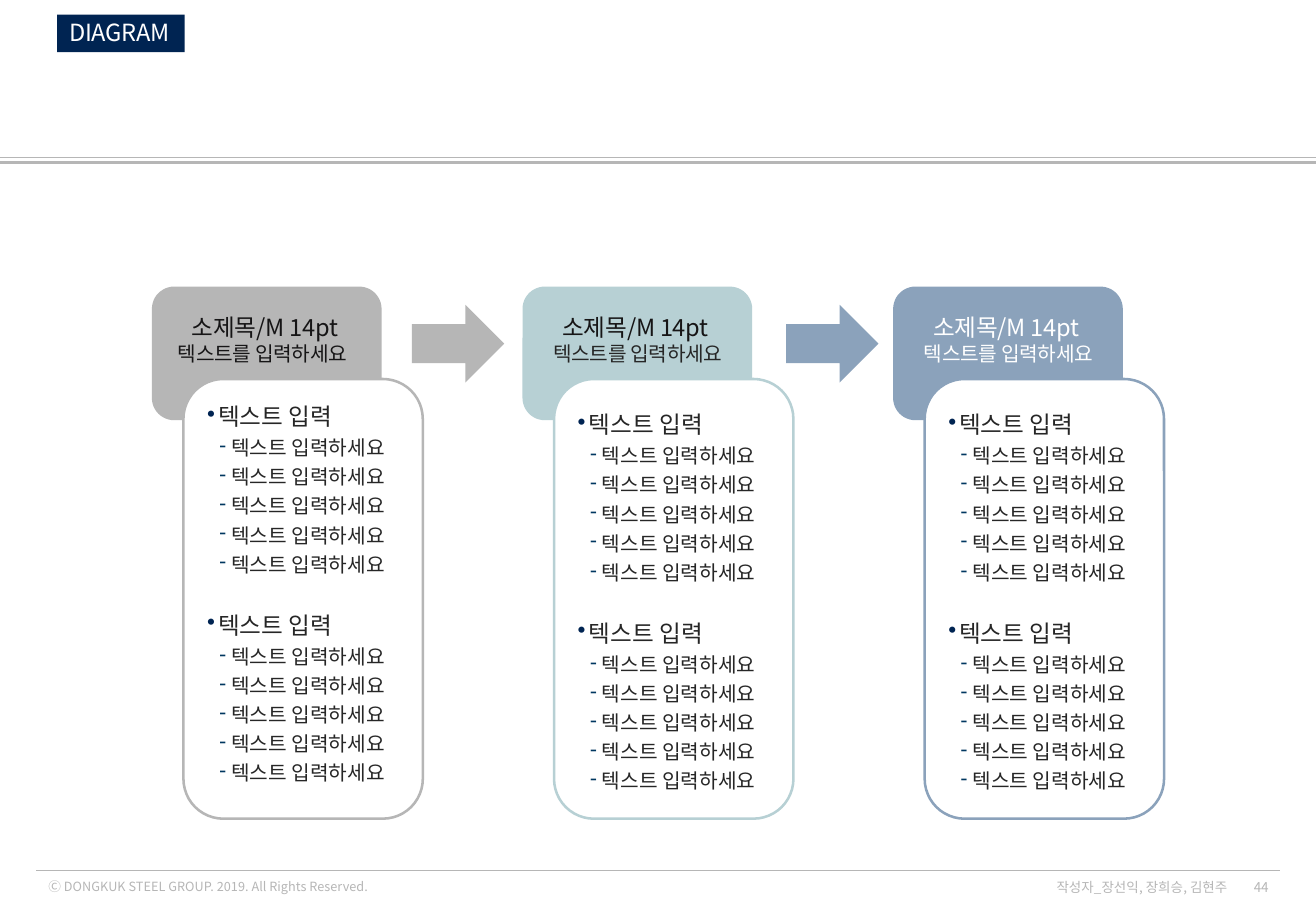
import pptx
import pptx.dml.color
import pptx.enum.shapes
import pptx.enum.text
import pptx.oxml
import pptx.util
from lxml import etree

Inches = pptx.util.Inches
Pt = pptx.util.Pt
RGBColor = pptx.dml.color.RGBColor
SHAPE = pptx.enum.shapes.MSO_SHAPE
ALIGN = pptx.enum.text.PP_ALIGN
ANCHOR = pptx.enum.text.MSO_ANCHOR
qn = pptx.oxml.ns.qn

FONT = "Noto Sans CJK KR"
NAVY = RGBColor(0x00, 0x24, 0x52)
DASH_BLUE = RGBColor(0x00, 0x37, 0x60)
GRAY = RGBColor(0xB6, 0xB6, 0xB6)
TEAL = RGBColor(0xB7, 0xD0, 0xD4)
BLUE = RGBColor(0x8B, 0xA2, 0xBB)
WHITE = RGBColor(0xFF, 0xFF, 0xFF)
BLACK = RGBColor(0x16, 0x15, 0x16)
DARK = RGBColor(0x26, 0x26, 0x26)

TAG = "DIAGRAM"
COPYRIGHT = "Ⓒ DONGKUK STEEL GROUP. 2019. All Rights Reserved."
AUTHORS = "작성자_장선익, 장희승, 김현주"
PAGE_NUMBER = "44"
SECTIONS = [("텍스트 입력", ["텍스트 입력하세요"] * 5)] * 2
# title, subtitle, subtitle shift, colour, title colour, subtitle colour, anchor
STEPS = [
    ("소제목/M 14pt", "텍스트를 입력하세요", 0, GRAY, BLACK, BLACK, ANCHOR.TOP),
    ("소제목/M 14pt", "텍스트를 입력하세요", 0.04, TEAL, BLACK, DARK, ANCHOR.MIDDLE),
    ("소제목/M 14pt", "텍스트를 입력하세요", 0.04, BLUE, WHITE, WHITE, ANCHOR.MIDDLE),
]
ARROWS = [GRAY, BLUE]
# left, right, height, width in points
RULES = [(0, 10.83, 1.34, 1.5), (0, 10.83, 1.3, 0.5), (0.3, 10.53, 7.17, 0.5)]

STEP_LEFT, STEP_PITCH = 1.25, 3.05
ARROW_LEFT, ARROW_PITCH = 3.39, 3.08

deck = pptx.Presentation()
deck.slide_width, deck.slide_height = Inches(10.83), Inches(7.5)
page = deck.slides.add_slide(deck.slide_layouts[6])


def add_rule(left, right, y, width):
    rule = page.shapes.add_connector(
        pptx.enum.shapes.MSO_CONNECTOR.STRAIGHT,
        Inches(left), Inches(y), Inches(right), Inches(y))
    rule.line.color.rgb = GRAY
    rule.line.width = Pt(width)
    etree.SubElement(rule.element.spPr, qn("a:effectLst"))


def add_block(kind, left, top, width, height, fill, outline=None):
    block = page.shapes.add_shape(
        kind, Inches(left), Inches(top), Inches(width), Inches(height))
    block.shadow.inherit = False
    block.fill.solid()
    block.fill.fore_color.rgb = fill
    if outline is None:
        block.line.fill.background()
    else:
        block.line.color.rgb = outline
        block.line.width = Pt(1.5)
    return block


def add_span(para, text, size, color, spacing=None):
    span = para.add_run()
    span.text = text
    span.font.size = Pt(size)
    span.font.name = FONT
    span.font.color.rgb = color
    properties = span.font._element
    etree.SubElement(properties, qn("a:ea")).set("typeface", FONT)
    if spacing is not None:
        properties.set("spc", str(round(spacing * 100)))


def add_label(text, left, top, width, height, size, color, align=ALIGN.LEFT,
              anchor=ANCHOR.MIDDLE, line_spacing=1.0, spacing=None):
    box = page.shapes.add_textbox(
        Inches(left), Inches(top), Inches(width), Inches(height))
    frame = box.text_frame
    frame.word_wrap = True
    frame.vertical_anchor = anchor
    para = frame.paragraphs[0]
    para.alignment = align
    para.line_spacing = line_spacing
    add_span(para, text, size, color, spacing)


def add_bullet(para, mark, color, margin, hanging):
    properties = para._p.get_or_add_pPr()
    properties.set("marL", str(Inches(margin)))
    properties.set("indent", str(-Inches(hanging)))
    tint = etree.SubElement(properties, qn("a:buClr"))
    etree.SubElement(tint, qn("a:srgbClr")).set("val", str(color))
    etree.SubElement(properties, qn("a:buChar")).set("char", mark)


def fill_panel(frame):
    lines = []
    for heading, items in SECTIONS:
        lines.append((heading, 14, "•", NAVY, 0.09, 0.09))
        lines += [(item, 12, "‐", DASH_BLUE, 0.2, 0.1) for item in items]
    for index, (text, size, mark, color, margin, hanging) in enumerate(lines):
        para = frame.add_paragraph() if index else frame.paragraphs[0]
        para.alignment = ALIGN.LEFT
        para.line_spacing = 1.2
        if index and size == 14:
            para.space_before = Pt(17.2)
        add_bullet(para, mark, color, margin, hanging)
        add_span(para, text, size, DARK)


for rule in RULES:
    add_rule(*rule)

add_label(COPYRIGHT, 0.3, 7.18, 3.47, 0.23, 7.5, GRAY)
add_label(PAGE_NUMBER, 10.13, 7.22, 0.41, 0.16, 8, GRAY, ALIGN.RIGHT)
add_label(AUTHORS, 8.52, 7.22, 1.68, 0.16, 8, GRAY, ALIGN.RIGHT)

for index, color in enumerate(ARROWS):
    add_block(SHAPE.RIGHT_ARROW, ARROW_LEFT + index * ARROW_PITCH, 2.51,
              0.76, 0.64, color)

for index, (title, subtitle, shift, color, title_color, subtitle_color,
            anchor) in enumerate(STEPS):
    left = STEP_LEFT + index * STEP_PITCH
    add_block(SHAPE.ROUNDED_RECTANGLE, left, 2.36, 1.89, 1.1, color)
    panel = add_block(SHAPE.ROUNDED_RECTANGLE, left + 0.26, 3.12, 1.97, 3.62,
                      WHITE, color)
    panel.text_frame.word_wrap = True
    panel.text_frame.vertical_anchor = anchor
    fill_panel(panel.text_frame)
    for text, x, y, size, text_color in [
            (title, left + 0.02, 2.48, 14, title_color),
            (subtitle, left + shift, 2.72, 12, subtitle_color)]:
        add_label(text, x, y, 1.82, 0.36, size, text_color,
                  ALIGN.CENTER, ANCHOR.TOP, 1.2, -0.2)

tag = add_block(SHAPE.RECTANGLE, 0.47, 0.12, 1.05, 0.31, NAVY)
tag.text_frame.word_wrap = False
tag.text_frame.vertical_anchor = ANCHOR.MIDDLE
tag_para = tag.text_frame.paragraphs[0]
tag_para.alignment = ALIGN.LEFT
tag_para.line_spacing = 0.9
add_span(tag_para, TAG, 14, WHITE, -0.2)

deck.save("out.pptx")
